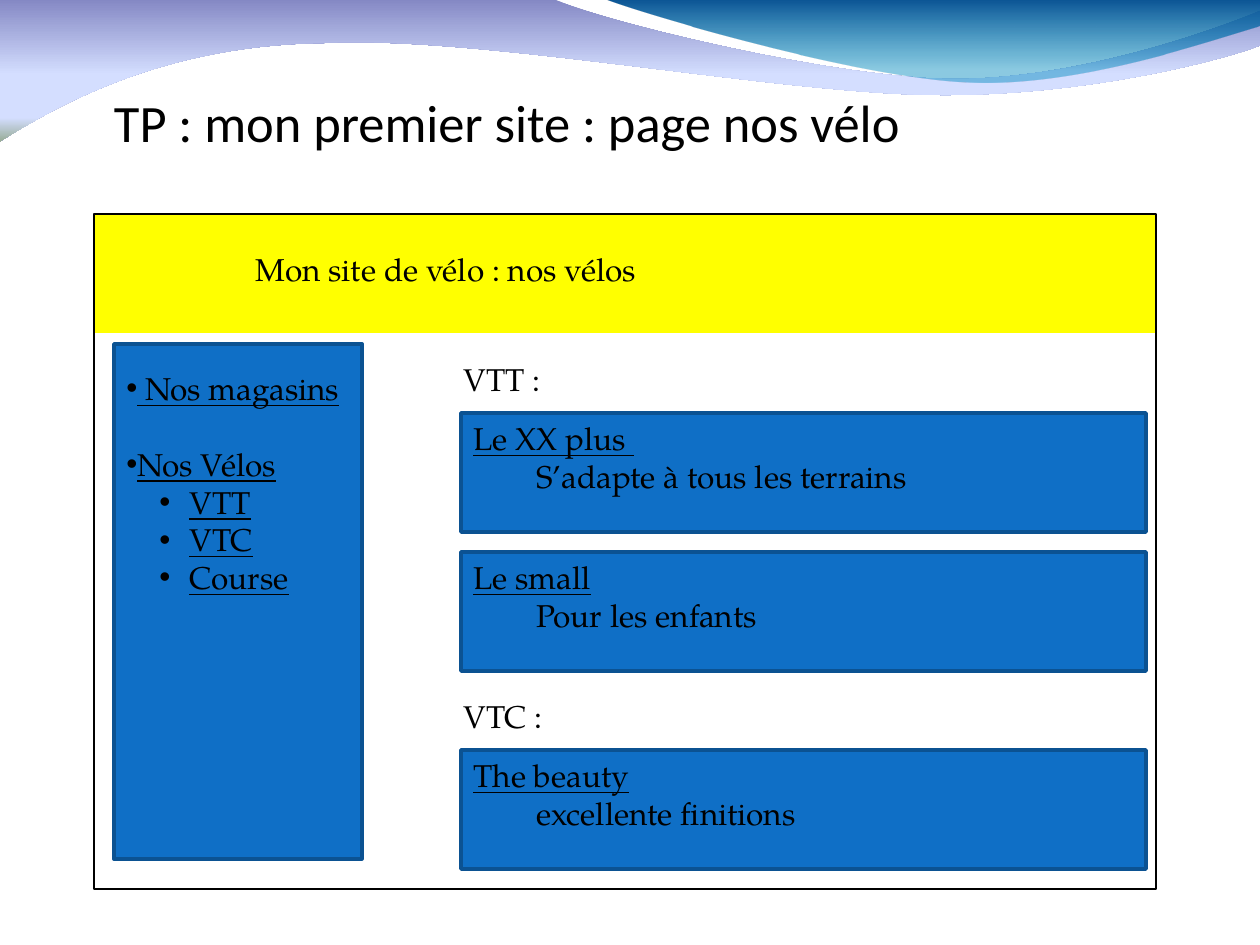
from lxml.etree import SubElement
from pptx import Presentation
from pptx.dml.color import RGBColor
from pptx.enum.shapes import MSO_SHAPE
from pptx.enum.text import MSO_ANCHOR, PP_ALIGN
from pptx.oxml.ns import qn
from pptx.util import Pt

PX = 914400 / 126  # EMU per pixel
BODY_FONT = "TeX Gyre Pagella"

deck = Presentation()
deck.slide_width = round(1260 * PX)
deck.slide_height = round(945 * PX)
page = deck.slides.add_slide(deck.slide_layouts[6])


def add_box(left, top, width, height, fill=None, line=None, weight=2):
    place = [round(value * PX) for value in (left, top, width, height)]
    if not (fill or line):
        box = page.shapes.add_textbox(*place)
    else:
        box = page.shapes.add_shape(MSO_SHAPE.RECTANGLE, *place)
        box.shadow.inherit = False
        if fill:
            box.fill.solid()
            box.fill.fore_color.rgb = RGBColor.from_string(fill)
        else:
            box.fill.background()
        if line:
            box.line.color.rgb = RGBColor.from_string(line)
            box.line.width = Pt(weight)
        else:
            box.line.fill.background()
    box.text_frame.word_wrap = True
    box.text_frame.vertical_anchor = MSO_ANCHOR.TOP
    return box


def write(para, text, size=18, font=BODY_FONT, underline=False, margin=0, indent=0, bullet=False):
    para.alignment = PP_ALIGN.LEFT
    if bullet:
        properties = para._p.get_or_add_pPr()
        properties.set("marL", str(round(margin * PX)))
        properties.set("indent", str(round(indent * PX)))
        SubElement(properties, qn("a:buFont"), typeface="Arial")
        SubElement(properties, qn("a:buChar"), char="•")
    para.add_run().text = text
    para.font.size = Pt(size)
    para.font.name = font
    para.font.underline = underline
    para.font.color.rgb = RGBColor.from_string("000000")


# Header waves: a two-value step is a straight line, a six-value step a Bézier curve
waves = [
    ((0, 0),
     [(554, -1), (600, 21, 837, 79, 955, 79), (1075, 79, 1207, 33, 1260, 11), (1261, 45),
      (1239, 55, 1096, 96, 940, 95), (784, 95, 481, 35, 324, 43), (163, 45, 58, 105, -1, 142)],
     [(0, "8488C4", 100), (53, "D4DEFF", 100), (83, "D4DEFF", 100), (100, "96AB94", 100)]),
    ((604, -1),
     [(641, 14, 859, 78, 969, 82), (1079, 87, 1211, 40, 1260, 26), (1260, 0)],
     [(0, "0B5394", 100), (80, "008BBF", 45)]),
]
for start, steps, stops in waves:
    builder = page.shapes.build_freeform(start[0] * PX, start[1] * PX)
    for step in steps:
        corners = zip(step[::2], step[1::2])
        builder.add_line_segments([(x * PX, y * PX) for x, y in corners], close=False)
    builder.add_line_segments([], close=True)
    wave = builder.convert_to_shape()
    wave.shadow.inherit = False
    wave.line.fill.background()

    # Join the three points of each curve step into one curve
    segments = iter(list(wave._element.iter(qn("a:lnTo"))))
    for step in steps:
        segment = next(segments)
        if len(step) == 6:
            segment.tag = qn("a:cubicBezTo")
            for _ in range(2):
                extra = next(segments)
                segment.append(extra[0])
                extra.getparent().remove(extra)

    wave.fill.gradient()
    wave.fill.gradient_angle = 270  # top to bottom
    stop_list = wave._element.spPr.find(qn("a:gradFill")).find(qn("a:gsLst"))
    for old_stop in list(stop_list):
        stop_list.remove(old_stop)
    for position, color, opacity in stops:
        stop = SubElement(stop_list, qn("a:gs"), pos=str(position * 1000))
        tint = SubElement(stop, qn("a:srgbClr"), val=color)
        if opacity < 100:
            SubElement(tint, qn("a:alpha"), val=str(opacity * 1000))

# Menu panel and title
add_box(114, 344, 248, 515, "0F6FC6", "0B5292")
title = add_box(114, 36, 1134, 117).text_frame
title.vertical_anchor = MSO_ANCHOR.BOTTOM
title.margin_left = title.margin_right = title.margin_bottom = 0
write(title.paragraphs[0], "TP : mon premier site : page nos vélo", 30, "Calibri")

# Banner and site frame
add_box(94, 214, 1062, 119, "FFFF00")
banner = add_box(243, 244, 684, 50)
write(banner.text_frame.paragraphs[0], "Mon site de vélo : nos vélos")
add_box(94, 214, 1062, 675, line="000000", weight=1)

# Menu entries
menu = add_box(114, 363, 268, 242).text_frame
entries = [(" Nos magasins", 0), ("Nos Vélos", 0), ("VTT", 1), ("VTC", 1), ("Course", 1)]
for number, (text, level) in enumerate(entries):
    para = menu.paragraphs[0] if number == 0 else menu.add_paragraph()
    para.level = level
    if number == 1:
        para.space_before = Pt(21.6)
    write(para, text, underline=True, margin=63 * level, indent=-30 * level, bullet=True)

# Category headings
for top, text in [(354, "VTT :"), (691, "VTC :")]:
    heading = add_box(451, top, 377, 50)
    write(heading.text_frame.paragraphs[0], text)

# Bike cards
cards = [
    (413, "Le XX plus ", "S’adapte à tous les terrains"),
    (552, "Le small", "Pour les enfants"),
    (750, "The beauty", "excellente finitions"),
]
for top, name, description in cards:
    card = add_box(461, top, 685, 119, "0F6FC6", "0B5292").text_frame
    write(card.paragraphs[0], name, underline=True)
    write(card.add_paragraph(), "\t" + description)

deck.save("out.pptx")
